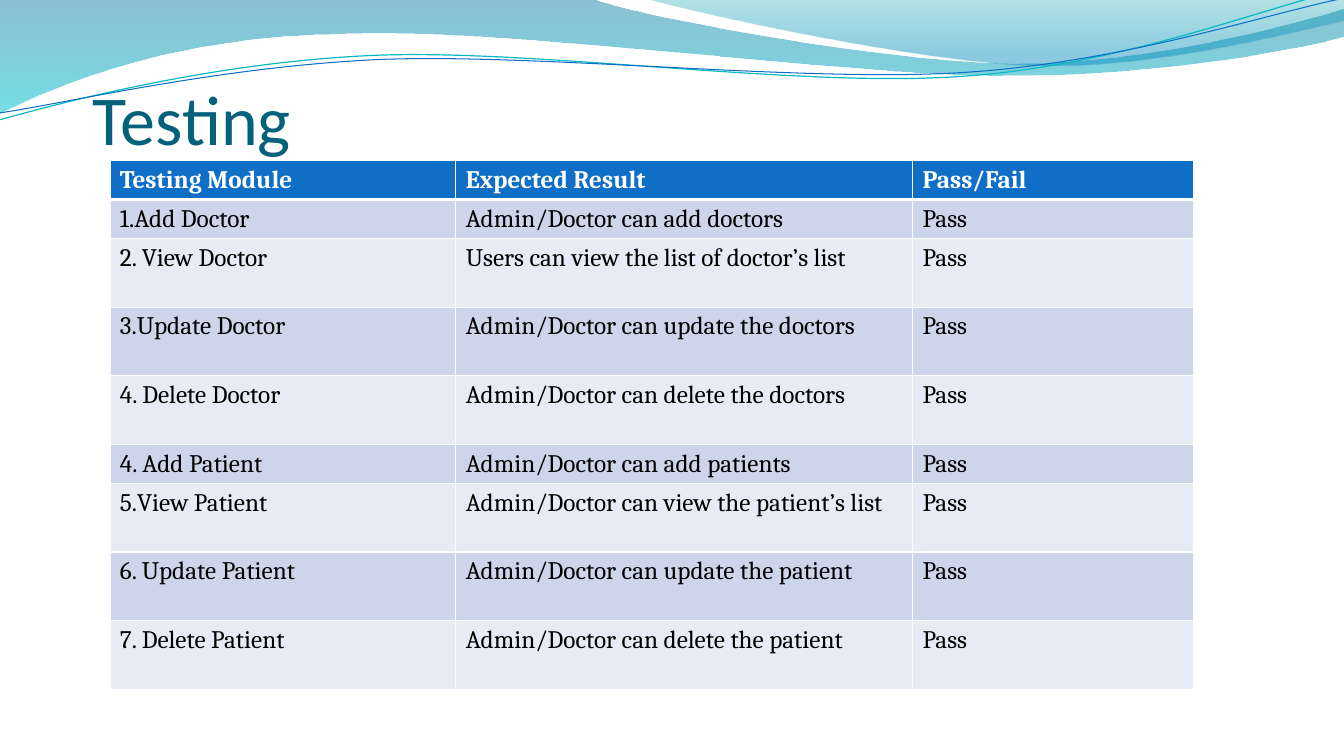
from lxml import etree
from pptx import Presentation
from pptx.dml.color import RGBColor
from pptx.enum.text import MSO_ANCHOR, MSO_AUTO_SIZE, PP_ALIGN
from pptx.oxml import parse_xml
from pptx.oxml.ns import nsdecls, qn
from pptx.util import Inches, Pt

ANCHOR_BOTTOM = MSO_ANCHOR.BOTTOM
ALIGN_LEFT = PP_ALIGN.LEFT
NO_AUTOFIT = MSO_AUTO_SIZE.NONE

WHITE = RGBColor(0xFF, 0xFF, 0xFF)
BLACK = RGBColor(0x00, 0x00, 0x00)
TITLE_TEAL = RGBColor(0x04, 0x61, 0x7B)
BLUE = RGBColor(0x0F, 0x6F, 0xC6)
CYAN = RGBColor(0x0A, 0xB8, 0xBF)
BAND_DARK = RGBColor(0xCC, 0xD5, 0xEA)
BAND_LIGHT = RGBColor(0xE7, 0xEB, 0xF5)
DEEP_BLUE = RGBColor(0x00, 0x74, 0xA1)
TURQUOISE = RGBColor(0x00, 0xC6, 0xCF)
SEA_GREEN = RGBColor(0x00, 0xA1, 0xA9)
SKY_BLUE = RGBColor(0x00, 0x8B, 0xBF)

SHORT_ROW, TALL_ROW = 0.38, 0.68
COLUMN_WIDTHS = (3.43, 4.53, 2.79)
HEADINGS = ("Testing Module", "Expected Result", "Pass/Fail")
TESTS = (
    ("1.Add Doctor", "Admin/Doctor can add doctors", SHORT_ROW),
    ("2. View Doctor", "Users can view the list of doctor’s list", TALL_ROW),
    ("3.Update Doctor", "Admin/Doctor can update the doctors", TALL_ROW),
    ("4. Delete Doctor", "Admin/Doctor can delete the doctors", TALL_ROW),
    ("4. Add Patient", "Admin/Doctor can add patients ", SHORT_ROW),
    ("5.View Patient", "Admin/Doctor can view the patient’s list", TALL_ROW),
    ("6. Update Patient", "Admin/Doctor can update the patient", TALL_ROW),
    ("7. Delete Patient", "Admin/Doctor can delete the patient", TALL_ROW),
)

RIBBONS = (
    ([(0, 0), (5.87, -0.01),
      (6.34, 0.17, 8.85, 0.63, 10.11, 0.63),
      (11.38, 0.63, 12.78, 0.26, 13.33, 0.09), (13.35, 0.36),
      (13.11, 0.44, 11.6, 0.76, 9.94, 0.75),
      (8.29, 0.75, 5.09, 0.28, 3.43, 0.34),
      (1.72, 0.36, 0.61, 0.83, -0.01, 1.13), (0, 0)],
     [(0, DEEP_BLUE, 45), (100, TURQUOISE, 55)]),
    ([(6.39, -0.01),
      (6.79, 0.11, 9.09, 0.62, 10.25, 0.65),
      (11.41, 0.69, 12.82, 0.32, 13.33, 0.21), (13.33, 0), (6.39, -0.01)],
     [(0, SEA_GREEN, 30), (80, SKY_BLUE, 45)]),
)
STRANDS = (
    ([(-0.01, 1.19),
      (0.64, 1.01, 2.11, 0.62, 3.69, 0.55),
      (5.27, 0.48, 7.9, 0.87, 9.5, 0.76),
      (11.1, 0.66, 12.52, 0.08, 13.31, -0.1)], CYAN, 0.85),
    ([(0, 1.12),
      (0.63, 1.03, 2.18, 0.66, 3.78, 0.59),
      (5.37, 0.53, 7.96, 0.82, 9.55, 0.72),
      (11.15, 0.62, 12.55, 0.14, 13.34, -0.02)], BLUE, 0.75),
)


def set_all(target, formats):
    """Set each attribute of the target from a dict of format values."""
    for attribute, value in formats.items():
        setattr(target, attribute, value)


def add_outline(slide, box, segments, closed):
    """Add a freeform of lines and Bezier curves, offset by the box corner."""
    left, top = box
    points = [(left + Inches(x), top + Inches(y))
              for segment in segments
              for x, y in zip(segment[::2], segment[1::2])]
    builder = slide.shapes.build_freeform(*points[0], scale=1.0)
    builder.add_line_segments(points[1:], close=closed)
    outline = builder.convert_to_shape()
    outline.shadow.inherit = False
    steps = iter(list(outline._element.iter(qn("a:lnTo"))))
    for segment in segments[1:]:
        first = next(steps)
        if len(segment) == 6:
            first.tag = qn("a:cubicBezTo")
            for follower in (next(steps), next(steps)):
                first.append(follower[0])
                follower.getparent().remove(follower)
    return outline


def fill_gradient(shape, stops):
    """Give the shape a vertical gradient of translucent colours."""
    shape.fill.background()
    gradient = parse_xml(
        f'<a:gradFill {nsdecls("a")} rotWithShape="1"><a:gsLst>'
        + "".join(f'<a:gs pos="{position * 1000}"><a:srgbClr val="{color}">'
                  f'<a:alpha val="{opacity * 1000}"/></a:srgbClr></a:gs>'
                  for position, color, opacity in stops)
        + '</a:gsLst><a:lin ang="5400000" scaled="0"/></a:gradFill>')
    properties = shape._element.spPr
    properties.replace(properties.find(qn("a:noFill")), gradient)


def add_waves(slide, box):
    """Draw the ribbons and strands from the box corner, on the slide master."""
    waves = []
    for segments, stops in RIBBONS:
        ribbon = add_outline(slide, box, segments, True)
        ribbon.line.fill.background()
        fill_gradient(ribbon, stops)
        waves.append(ribbon)
    for segments, color, width in STRANDS:
        strand = add_outline(slide, box, segments, False)
        strand.fill.background()
        strand.line.color.rgb = color
        strand.line.width = Pt(width)
        waves.append(strand)
    master_tree = slide.slide_layout.slide_master.shapes._spTree
    for number, wave in enumerate(waves, start=101):
        wave._element.nvSpPr.cNvPr.set("id", str(number))
        master_tree.append(wave._element)


def add_title(slide, box):
    """Place the title placeholder in the box."""
    title = slide.shapes.title
    set_all(title, dict(zip(("left", "top", "width", "height"), box)))
    frame = title.text_frame
    frame.text = "Testing "
    set_all(frame, {
        "margin_left": 0, "margin_right": 0, "margin_bottom": 0,
        "margin_top": Inches(0.05), "vertical_anchor": ANCHOR_BOTTOM,
        "auto_size": NO_AUTOFIT, "word_wrap": True})
    heading = frame.paragraphs[0]
    heading.alignment = ALIGN_LEFT
    font = heading.runs[0].font
    set_all(font, {"name": "Calibri", "size": Pt(50)})
    font.color.rgb = TITLE_TEAL


def add_borders(cell, widths):
    """Draw white borders of the given widths on the sides of a cell."""
    properties = cell._tc.get_or_add_tcPr()
    for side, width in widths.items():
        border = etree.SubElement(properties, qn(f"a:ln{side}"), w=str(Pt(width)))
        solid = etree.SubElement(border, qn("a:solidFill"))
        etree.SubElement(solid, qn("a:srgbClr"), val=str(WHITE))


def add_results(slide, box):
    """Build the table of test results in the box."""
    rows = [(*HEADINGS, SHORT_ROW)]
    rows += [(module, expected, "Pass", height) for module, expected, height in TESTS]
    table = slide.shapes.add_table(len(rows), len(HEADINGS), *box).table
    for column, width in zip(table.columns, COLUMN_WIDTHS):
        column.width = Inches(width)
    for index, (*texts, height) in enumerate(rows):
        is_header = index == 0
        table.rows[index].height = Inches(height)
        band = BLUE if is_header else (BAND_LIGHT, BAND_DARK)[index % 2]
        widths = {"L": 1, "R": 1, "T": 3 if index == 1 else 1,
                  "B": 3 if is_header else 1}
        for cell, text in zip(table.rows[index].cells, texts):
            add_borders(cell, widths)
            cell.fill.solid()
            cell.fill.fore_color.rgb = band
            cell.text = text
            font = cell.text_frame.paragraphs[0].runs[0].font
            set_all(font, {"name": "Cambria", "size": Pt(18), "bold": is_header})
            font.color.rgb = WHITE if is_header else BLACK


def main():
    """Build and save the testing slide."""
    deck = Presentation()
    set_all(deck, {"slide_width": Inches(13.33), "slide_height": Inches(7.5)})
    slide = deck.slides.add_slide(deck.slide_layouts[5])
    add_waves(slide, (Inches(0), Inches(0)))
    add_title(slide, (Inches(0.92), Inches(0.4), Inches(11.5), Inches(1.18)))
    add_results(slide, (Inches(1.09), Inches(1.59), Inches(10.75), Inches(5.22)))
    deck.save("out.pptx")


main()
